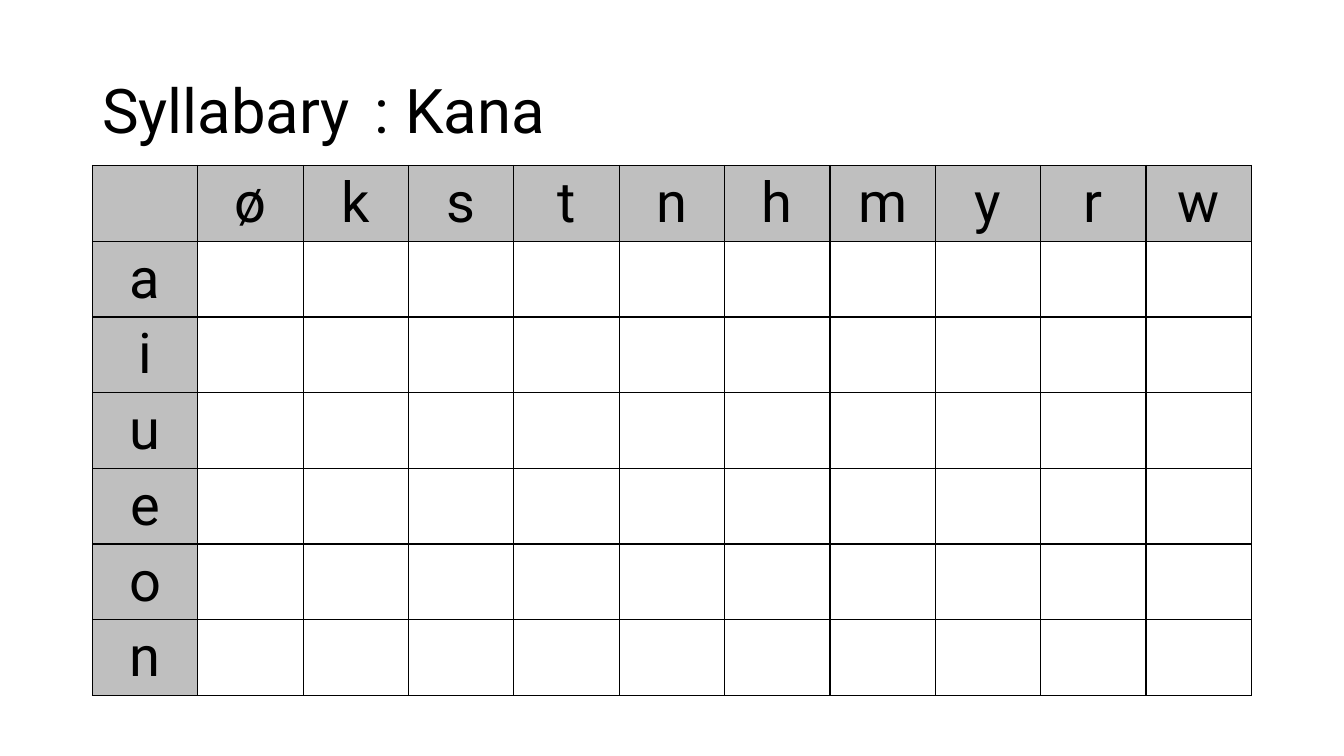
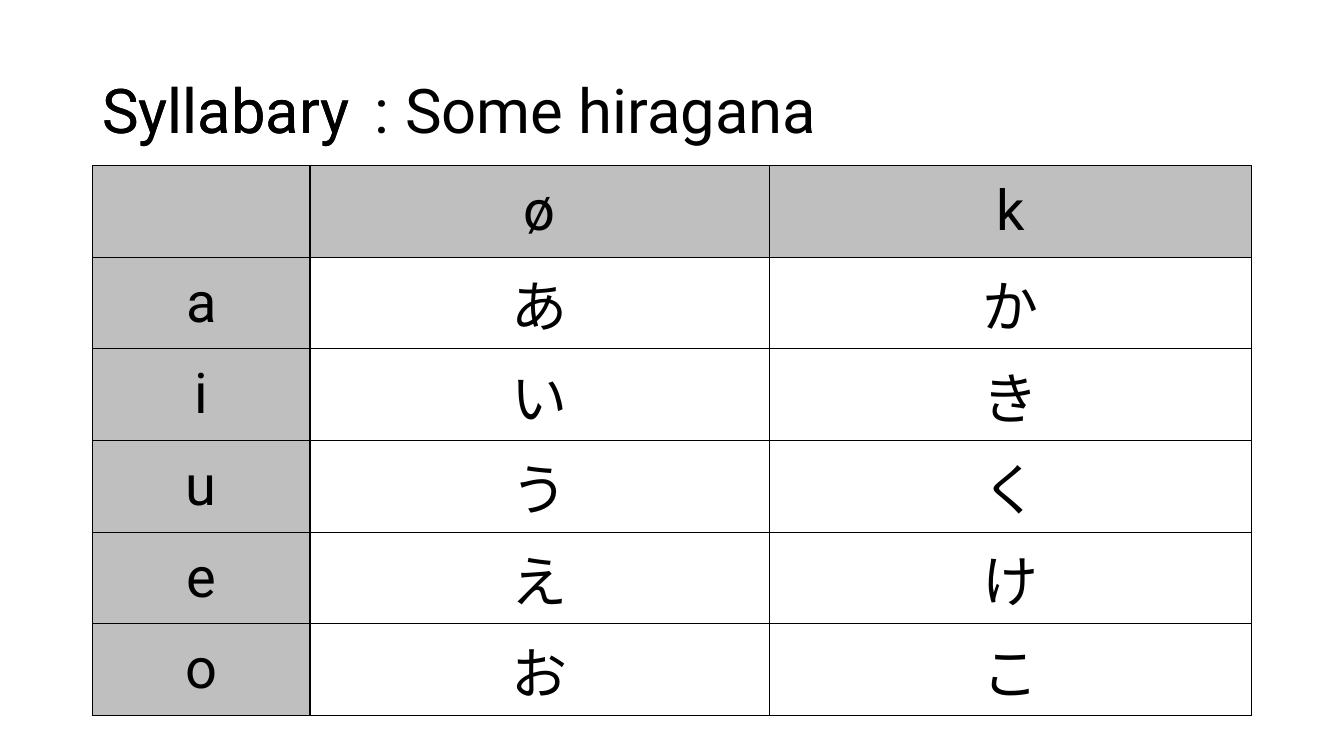
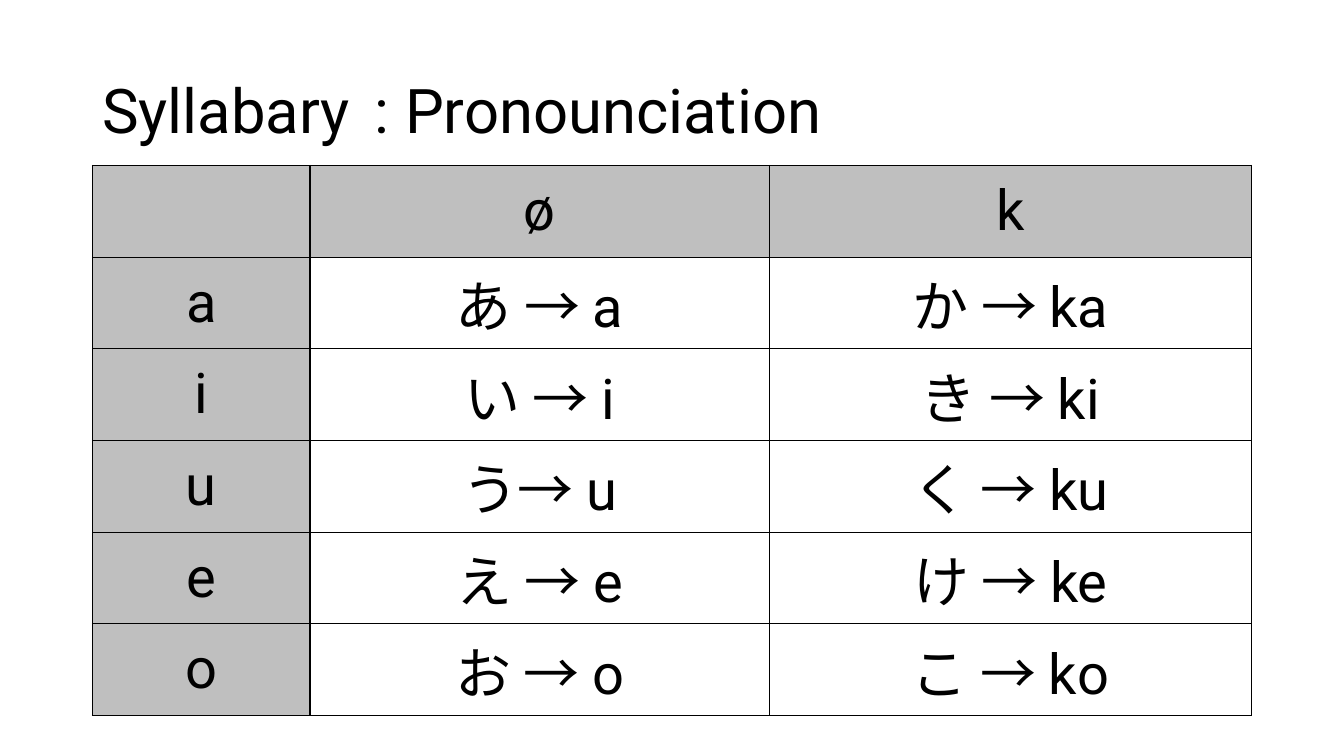
import dataclasses

import lxml.etree
import pptx
import pptx.dml.color
import pptx.enum.text
import pptx.oxml.ns
import pptx.util

Pt = pptx.util.Pt
RGB = pptx.dml.color.RGBColor
MIDDLE = pptx.enum.text.MSO_ANCHOR.MIDDLE
CENTER = pptx.enum.text.PP_ALIGN.CENTER


@dataclasses.dataclass(frozen=True)
class Theme:
    font: str = "Roboto"
    ink: str = "000000"
    header: str = "BFBFBF"
    paper: str = "FFFFFF"
    heading_size: float = 44
    cell_size: float = 40
    border: float = 1


class Deck:
    left, width = 66, 828
    heading_top, heading_height = 28.8, 104.4
    table_top = 118.2

    def __init__(self, theme):
        self.theme = theme
        self.presentation = pptx.Presentation()
        self.presentation.slide_width = Pt(960)
        self.presentation.slide_height = Pt(540)
        self.slide = None

    def new_slide(self):
        blank = self.presentation.slide_layouts[6]
        self.slide = self.presentation.slides.add_slide(blank)

    def add_words(self, paragraph, words, size, **layout):
        run = paragraph.add_run()
        run.text = words
        formats = {"name": self.theme.font, "size": Pt(size), "bold": False}
        for target, values in ((paragraph, layout), (run.font, formats)):
            for key, value in values.items():
                setattr(target, key, value)
        run.font.color.rgb = RGB.from_string(self.theme.ink)

    def heading(self, words, left, width):
        heading = self.slide.shapes.add_textbox(
            Pt(left), Pt(self.heading_top), Pt(width), Pt(self.heading_height))
        frame = heading.text_frame
        for key, value in {"word_wrap": True, "vertical_anchor": MIDDLE}.items():
            setattr(frame, key, value)
        self.add_words(frame.paragraphs[0], words, self.theme.heading_size,
                       line_spacing=0.9)

    def outline(self, cell):
        qn = pptx.oxml.ns.qn
        properties = cell._tc.get_or_add_tcPr()
        for position, side in enumerate(("lnL", "lnR", "lnT", "lnB")):
            line = lxml.etree.Element(qn("a:" + side), w=str(Pt(self.theme.border)))
            fill = lxml.etree.SubElement(line, qn("a:solidFill"))
            lxml.etree.SubElement(fill, qn("a:srgbClr"), val=self.theme.ink)
            properties.insert(position, line)

    def table(self, rows, column_widths, row_height):
        grid = self.slide.shapes.add_table(
            len(rows), len(column_widths), Pt(self.left), Pt(self.table_top),
            Pt(self.width), Pt(row_height * len(rows))).table
        for key, value in {"first_row": False, "horz_banding": False}.items():
            setattr(grid, key, value)
        for column, width in zip(grid.columns, column_widths):
            column.width = Pt(width)
        for r, row in enumerate(rows):
            grid.rows[r].height = Pt(row_height)
            for c, words in enumerate(row):
                cell = grid.cell(r, c)
                cell.vertical_anchor = MIDDLE
                cell.fill.solid()
                shade = self.theme.paper if r and c else self.theme.header
                cell.fill.fore_color.rgb = RGB.from_string(shade)
                self.outline(cell)
                if words:
                    self.add_words(cell.text_frame.paragraphs[0], words,
                                   self.theme.cell_size, alignment=CENTER)


def syllabary(consonants, vowels, columns):
    return [["", *consonants]] + [
        [vowel, *kana] for vowel, kana in zip(vowels, zip(*columns))]


def main():
    deck = Deck(Theme())
    script_name = ("Syllabary", deck.left, 230.4)
    topic_left = 249.8
    kana_widths = [155.5, 328, 344.5]
    hiragana = ["あいうえお", "かきくけこ"]
    pronunciation = [
        ["あ → a", "い → i", "う→ u", "え → e", "お → o"],
        ["か → ka", "き → ki", "く → ku", "け → ke", "こ → ko"],
    ]
    pages = [
        ([script_name, (" : Kana", topic_left, 230.4)],
         syllabary("økstnhmyrw", "aiueon", [[""] * 6] * 10),
         [deck.width / 11] * 11, 54.1),
        ([script_name, script_name, (" : Some hiragana", topic_left, 408.2)],
         syllabary("øk", "aiueo", hiragana), kana_widths, 65.5),
        ([script_name, (" : Pronounciation", topic_left, 644.4)],
         syllabary("øk", "aiueo", pronunciation), kana_widths, 65.5),
    ]
    for headings, rows, column_widths, row_height in pages:
        deck.new_slide()
        deck.table(rows, column_widths, row_height)
        for words, left, width in headings:
            deck.heading(words, left, width)
    deck.presentation.save("out.pptx")


if __name__ == "__main__":
    main()
